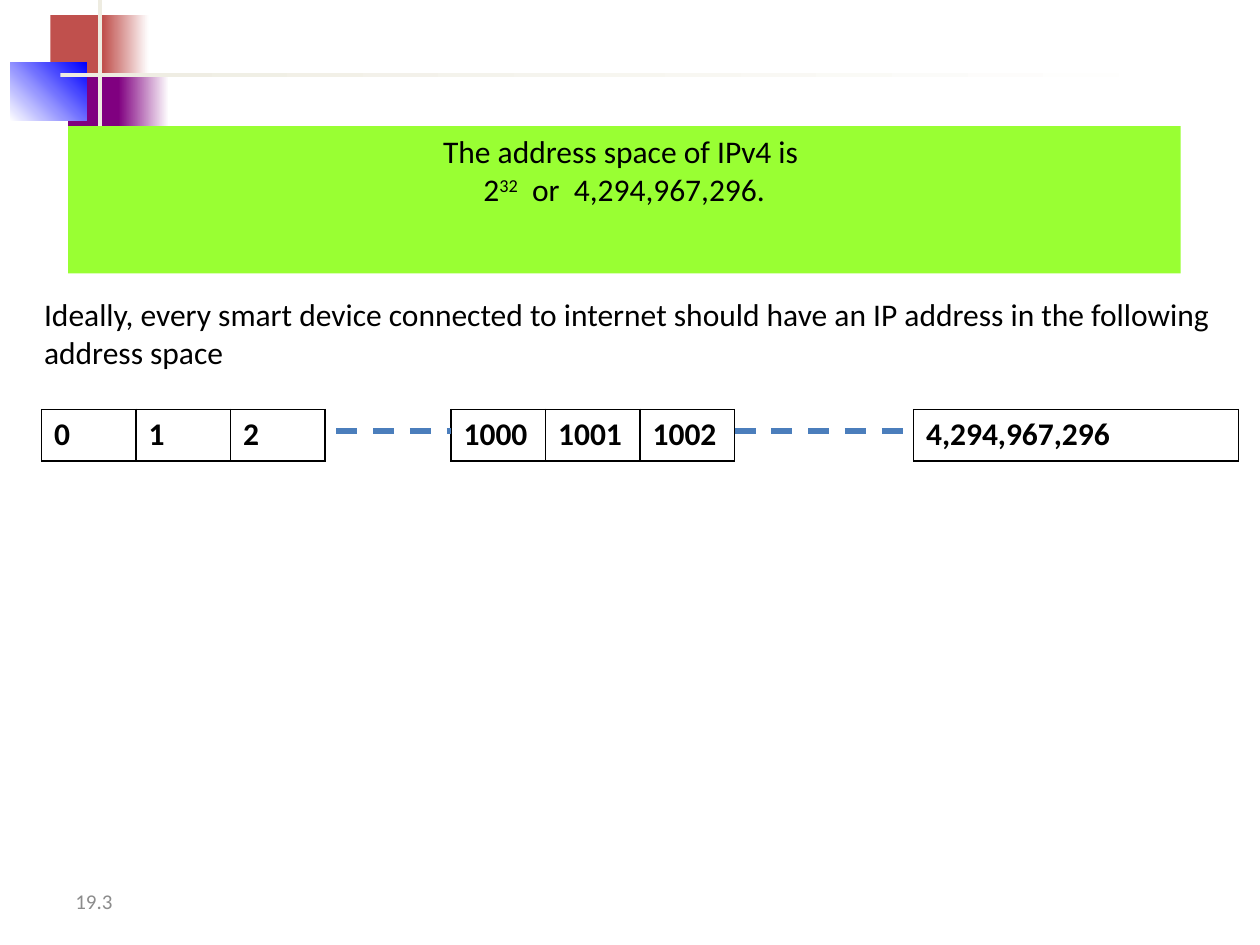
from dataclasses import dataclass

from lxml import etree
from pptx import Presentation
from pptx.dml.color import RGBColor
from pptx.enum.dml import MSO_LINE
from pptx.enum.shapes import MSO_CONNECTOR, MSO_SHAPE
from pptx.enum.text import MSO_ANCHOR, MSO_AUTO_SIZE, PP_ALIGN
from pptx.oxml.ns import qn
from pptx.util import Inches, Pt

RECTANGLE = MSO_SHAPE.RECTANGLE
STRAIGHT = MSO_CONNECTOR.STRAIGHT
DASH = MSO_LINE.DASH
TOP, MIDDLE = MSO_ANCHOR.TOP, MSO_ANCHOR.MIDDLE
LEFT, CENTER = PP_ALIGN.LEFT, PP_ALIGN.CENTER
NO_RESIZE = MSO_AUTO_SIZE.NONE


@dataclass(frozen=True)
class Theme:
    font: str = "Calibri"
    text_size: int = 18
    number_size: int = 12
    text: str = "000000"
    number: str = "8C8C8C"
    banner: str = "99FF33"
    red: str = "C0504D"
    purple: str = "800080"
    blue: str = "0000FF"
    beige: str = "EEECE1"
    white: str = "FFFFFF"
    dash: str = "4B7EBC"


class SlideBuilder:
    """Draw styled elements on the current slide."""

    def __init__(self, slide, theme):
        self.slide = slide
        self.theme = theme

    def style_text(self, text_frame, size, color, bold=False, align=LEFT):
        for paragraph in text_frame.paragraphs:
            paragraph.alignment = align
            paragraph.space_before = Pt(0)
            for run in paragraph.runs:
                run.font.name = self.theme.font
                run.font.size = Pt(size)
                run.font.bold = bold
                run.font.color.rgb = RGBColor.from_string(color)

    def block(self, left, top, width, height, color, end_color=None, angle=0):
        shape = self.slide.shapes.add_shape(
            RECTANGLE, Inches(left), Inches(top), Inches(width), Inches(height))
        shape.shadow.inherit = False
        shape.line.fill.background()
        if end_color is None:
            shape.fill.solid()
            shape.fill.fore_color.rgb = RGBColor.from_string(color)
            return
        shape.fill.gradient()
        shape.fill.gradient_angle = angle
        for stop, stop_color in zip(shape.fill.gradient_stops, (color, end_color)):
            stop.color.rgb = RGBColor.from_string(stop_color)

    def place(self, placeholder, left, top, width, height):
        placeholder.left, placeholder.top = Inches(left), Inches(top)
        placeholder.width, placeholder.height = Inches(width), Inches(height)
        placeholder.element.getparent().append(placeholder.element)
        text_frame = placeholder.text_frame
        text_frame.word_wrap = True
        text_frame.auto_size = NO_RESIZE
        text_frame.vertical_anchor = TOP
        return text_frame

    def title(self, text, exponent, ending, *box):
        placeholder = self.slide.shapes.title
        text_frame = self.place(placeholder, *box)
        placeholder.fill.solid()
        placeholder.fill.fore_color.rgb = RGBColor.from_string(self.theme.banner)
        text_frame.text = text
        paragraph = text_frame.paragraphs[0]
        superscript = paragraph.add_run()
        superscript.text = exponent
        superscript.font._element.set("baseline", "30000")
        paragraph.add_run().text = ending
        self.style_text(text_frame, self.theme.text_size, self.theme.text, align=CENTER)

    def body(self, text, *box):
        text_frame = self.place(self.slide.placeholders[1], *box)
        text_frame.text = text
        self.style_text(text_frame, self.theme.text_size, self.theme.text)
        properties = text_frame.paragraphs[0]._p.get_or_add_pPr()
        properties.set("marL", "0")
        properties.set("indent", "0")
        etree.SubElement(properties, qn("a:buNone"))

    def number(self, text, left, top, width, height):
        box = self.slide.shapes.add_textbox(
            Inches(left), Inches(top), Inches(width), Inches(height))
        box.text_frame.word_wrap = True
        box.text_frame.vertical_anchor = MIDDLE
        box.text_frame.text = text
        self.style_text(box.text_frame, self.theme.number_size, self.theme.number)

    def address(self, text, left, top, width, height):
        table = self.slide.shapes.add_table(
            1, 1, Inches(left), Inches(top), Inches(width), Inches(height)).table
        table.first_row = table.horz_banding = False
        cell = table.cell(0, 0)
        cell.text = text
        self.style_text(cell.text_frame, self.theme.text_size, self.theme.text, bold=True)
        properties = cell._tc.get_or_add_tcPr()
        for side in ("a:lnL", "a:lnR", "a:lnT", "a:lnB"):
            border = etree.SubElement(properties, qn(side), w=str(Pt(1)))
            fill = etree.SubElement(border, qn("a:solidFill"))
            etree.SubElement(fill, qn("a:srgbClr"), val=self.theme.text)
        cell.fill.background()

    def dashed_line(self, start, end, height):
        line = self.slide.shapes.add_connector(
            STRAIGHT, Inches(start), Inches(height), Inches(end), Inches(height))
        line.line.color.rgb = RGBColor.from_string(self.theme.dash)
        line.line.width = Pt(3)
        line.line.dash_style = DASH
        etree.SubElement(line._element.spPr, qn("a:effectLst"))


def main():
    presentation = Presentation()
    presentation.slide_width, presentation.slide_height = Inches(10), Inches(7.5)
    slide = presentation.slides.add_slide(presentation.slide_layouts[1])
    theme = Theme()
    builder = SlideBuilder(slide, theme)

    builder.number("19.3", 0.5, 6.95, 2.33, 0.4)
    builder.block(0.4, 0.12, 0.48, 0.52, theme.red)
    builder.block(0.82, 0.12, 0.36, 0.52, theme.red, theme.white)
    builder.block(0.54, 0.58, 0.46, 0.52, theme.purple)
    builder.block(0.94, 0.58, 0.4, 0.52, theme.purple, theme.white)
    builder.block(0.08, 0.5, 0.61, 0.46, theme.white, theme.blue, 45)
    builder.block(0.78, 0, 0.03, 1.15, theme.beige)
    builder.block(0.48, 0.58, 9, 0.03, theme.beige, theme.white)

    builder.title("The address space of IPv4 is \v2", "32", "  or  4,294,967,296.",
                  0.54, 1, 8.83, 1.17)

    address_groups = (
        (0.33, 0.75, ("0", "1", "2")),
        (3.58, 0.75, ("1000", "1001", "1002")),
        (7.25, 2.58, ("4,294,967,296",)),
    )
    for left, width, addresses in address_groups:
        for index, address in enumerate(addresses):
            builder.address(address, left + index * width, 3.25, width, 0.41)
    for start, end in ((2.67, 3.58), (5.83, 7.17)):
        builder.dashed_line(start, end, 3.42)

    builder.body("Ideally, every smart device connected to internet should have an IP "
                 "address in the following address space", 0.25, 2.29, 9.58, 0.71)
    presentation.save("out.pptx")


if __name__ == "__main__":
    main()
